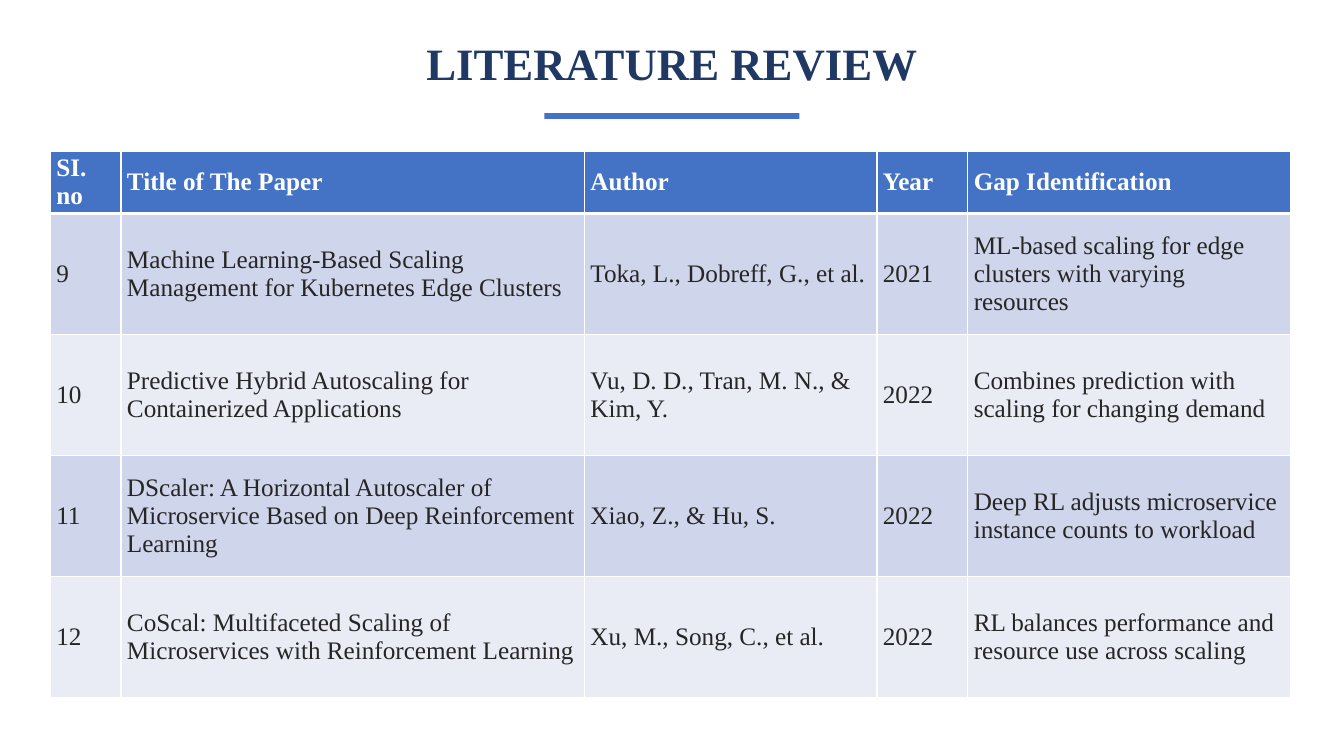
import dataclasses

import lxml.etree
import pptx
import pptx.dml.color
import pptx.enum.shapes
import pptx.enum.text
import pptx.oxml.ns
import pptx.table
import pptx.text.text
import pptx.util
from pptx.util import Cm

COLORS = {
    "title": "1F3864",
    "accent": "4472C4",
    "body": "262626",
    "white": "FFFFFF",
    "band_dark": "CFD5EA",
    "band_light": "E9EBF5",
}
FONT = "Times New Roman"
THIN, THICK = 1, 3  # border widths in points


@dataclasses.dataclass(frozen=True)
class Column:
    heading: str
    width: float  # cm


@dataclasses.dataclass(frozen=True)
class Paper:
    number: str
    title: str
    author: str
    year: str
    gap: str


@dataclasses.dataclass(frozen=True)
class RowStyle:
    fill: str
    text: str
    bold: bool
    top: int
    bottom: int


COLUMNS = [
    Column("SI. no", 1.78),
    Column("Title of The Paper", 11.68),
    Column("Author", 7.37),
    Column("Year", 2.29),
    Column("Gap Identification", 8.13),
]
PAPERS = [
    Paper("9", "Machine Learning-Based Scaling Management for Kubernetes Edge Clusters",
          "Toka, L., Dobreff, G., et al.", "2021",
          "ML-based scaling for edge clusters with varying resources"),
    Paper("10", "Predictive Hybrid Autoscaling for Containerized Applications",
          "Vu, D. D., Tran, M. N., & Kim, Y.", "2022",
          "Combines prediction with scaling for changing demand"),
    Paper("11", "DScaler: A Horizontal Autoscaler of Microservice Based on Deep "
          "Reinforcement Learning",
          "Xiao, Z., & Hu, S.", "2022",
          "Deep RL adjusts microservice instance counts to workload"),
    Paper("12", "CoScal: Multifaceted Scaling of Microservices with Reinforcement Learning",
          "Xu, M., Song, C., et al.", "2022",
          "RL balances performance and resource use across scaling"),
]
HEADER_HEIGHT, PAPER_HEIGHT = 1.27, 3.05


def rgb(name: str) -> pptx.dml.color.RGBColor:
    return pptx.dml.color.RGBColor.from_string(COLORS[name])


def format_text(paragraph: pptx.text.text._Paragraph, size: int, color: str, bold: bool) -> None:
    font = paragraph.font
    font.name, font.size, font.bold = FONT, pptx.util.Pt(size), bold
    font.color.rgb = rgb(color)


def add_borders(cell: pptx.table._Cell, style: RowStyle) -> None:
    qn = pptx.oxml.ns.qn
    properties = cell._tc.get_or_add_tcPr()
    widths = {"a:lnL": THIN, "a:lnR": THIN, "a:lnT": style.top, "a:lnB": style.bottom}
    for side, width in widths.items():
        line = lxml.etree.SubElement(properties, qn(side), w=str(pptx.util.Pt(width)))
        fill = lxml.etree.SubElement(line, qn("a:solidFill"))
        lxml.etree.SubElement(fill, qn("a:srgbClr"), val=COLORS["white"])


def fill_cell(cell: pptx.table._Cell, text: str, style: RowStyle) -> None:
    cell.text = text
    cell.vertical_anchor = pptx.enum.text.MSO_ANCHOR.MIDDLE
    cell.margin_left = cell.margin_right = Cm(0.15)
    cell.margin_top = cell.margin_bottom = Cm(0.08)
    add_borders(cell, style)
    cell.fill.solid()
    cell.fill.fore_color.rgb = rgb(style.fill)
    format_text(cell.text_frame.paragraphs[0], 18, style.text, style.bold)


def row_style(index: int) -> RowStyle:
    if index == 0:
        return RowStyle("accent", "white", True, THIN, THICK)
    band = "band_dark" if index % 2 else "band_light"
    return RowStyle(band, "body", False, THICK if index == 1 else THIN, THIN)


def main() -> None:
    presentation = pptx.Presentation()
    presentation.slide_width, presentation.slide_height = Cm(33.87), Cm(19.05)
    slide = presentation.slides.add_slide(presentation.slide_layouts[5])

    # Title
    heading = slide.shapes.title
    heading.left, heading.top = Cm(0), Cm(0)
    heading.width, heading.height = presentation.slide_width, Cm(3.18)
    heading.text_frame.text = "LITERATURE REVIEW"
    heading.text_frame.auto_size = pptx.enum.text.MSO_AUTO_SIZE.NONE
    heading.text_frame.vertical_anchor = pptx.enum.text.MSO_ANCHOR.MIDDLE
    heading.text_frame.paragraphs[0].alignment = pptx.enum.text.PP_ALIGN.CENTER
    format_text(heading.text_frame.paragraphs[0], 32, "title", True)

    # Underline below the title
    underline = slide.shapes.add_shape(
        pptx.enum.shapes.MSO_SHAPE.RECTANGLE, Cm(13.72), Cm(2.85), Cm(6.43), Cm(0.15))
    underline.shadow.inherit = False
    underline.fill.solid()
    underline.fill.fore_color.rgb = rgb("accent")
    underline.line.fill.background()

    # Table of reviewed papers
    rows = [[column.heading for column in COLUMNS], *map(dataclasses.astuple, PAPERS)]
    review = slide.shapes.add_table(
        len(rows), len(COLUMNS), Cm(1.27), Cm(3.81),
        Cm(sum(column.width for column in COLUMNS)),
        Cm(HEADER_HEIGHT + PAPER_HEIGHT * len(PAPERS))).table
    for column, target in zip(COLUMNS, review.columns):
        target.width = Cm(column.width)
    for index, texts in enumerate(rows):
        review.rows[index].height = Cm(PAPER_HEIGHT if index else HEADER_HEIGHT)
        for cell, text in zip(review.rows[index].cells, texts):
            fill_cell(cell, text, row_style(index))

    presentation.save("out.pptx")


if __name__ == "__main__":
    main()
